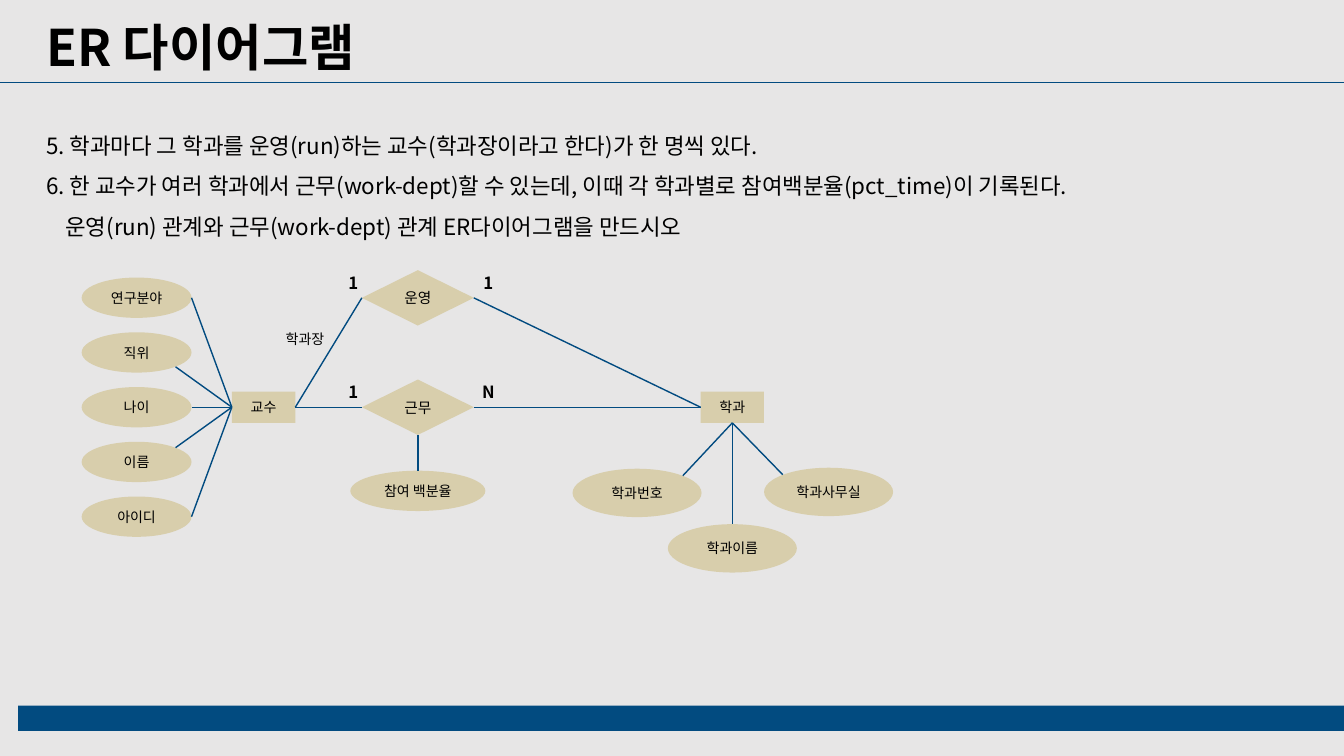
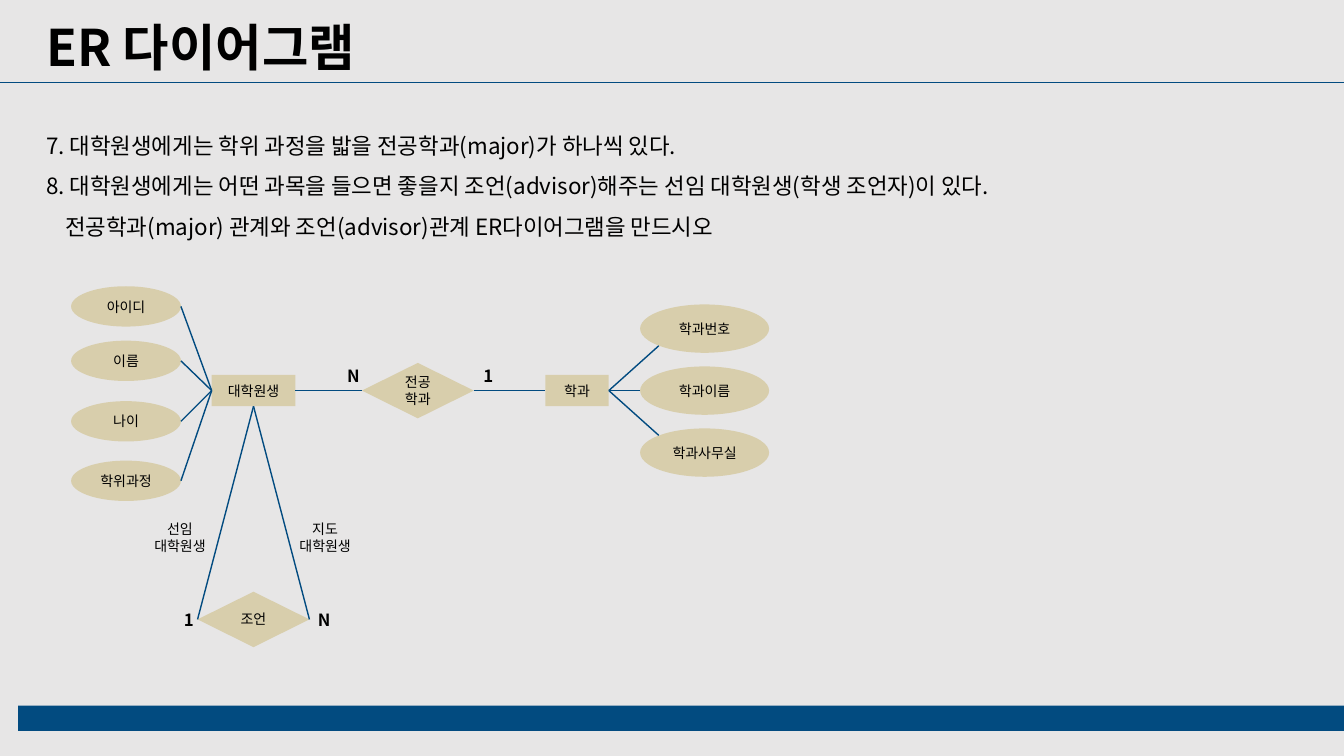
from dataclasses import dataclass

from lxml.etree import SubElement
from pptx import Presentation
from pptx.dml.color import RGBColor
from pptx.enum.shapes import MSO_CONNECTOR, MSO_SHAPE as Preset
from pptx.enum.text import MSO_ANCHOR as Anchor, PP_ALIGN as Align
from pptx.oxml.ns import qn
from pptx.util import Inches, Pt

# Grid: one cell is a tenth of an inch
COLUMNS, ROWS = 133.33, 75
FONT = "Noto Sans CJK KR"
GREY, NAVY, SAND, BLACK = "E7E6E6", "024B80", "D8CEAC", "000000"

# Connection sites, as shares of the half width and half height
SITES = {
    "top": (0, -1), "bottom": (0, 1), "left": (-1, 0), "right": (1, 0),
    "top left": (-0.71, -0.71), "top right": (0.71, -0.71),
    "bottom left": (-0.71, 0.71), "bottom right": (0.71, 0.71),
}


@dataclass
class Box:
    left: float
    top: float
    width: float
    height: float

    def around(self, x, y, width, height):
        """Box centred on a point given relative to this box."""
        return Box(self.left + x - width / 2, self.top + y - height / 2, width, height)

    def site(self, name):
        across, down = SITES[name]
        return (self.left + self.width * (1 + across) / 2,
                self.top + self.height * (1 + down) / 2)

    def lengths(self):
        return [cells(v) for v in (self.left, self.top, self.width, self.height)]


TITLE = Box(3.6, 1.1, 87.1, 7.1)
BODY = Box(3.6, 11.3, 111.5, 13.1)
DIAGRAM = Box(7, 26, 82, 39)
FOOTER = Box(1.8, 70, 131.53, 2.5)
RULE_ROW = 8.2


def cells(count):
    return Inches(count / 10)


def color(value):
    return RGBColor.from_string(value)


# Basic parts
def write(shape, lines, size, bold=False, align=Align.CENTER, anchor=Anchor.MIDDLE):
    frame = shape.text_frame
    frame.text = lines
    frame.word_wrap = True
    frame.vertical_anchor = anchor
    for para in frame.paragraphs:
        para.alignment = align
        for span in para.runs:
            font = span.font
            font.name, font.size, font.bold = FONT, Pt(size), bold
            font.color.rgb = color(BLACK)
            SubElement(font._element, qn("a:ea")).set("typeface", FONT)
    return frame


def solid(page, preset, box, fill):
    shape = page.shapes.add_shape(preset, *box.lengths())
    shape.shadow.inherit = False
    shape.fill.solid()
    shape.fill.fore_color.rgb = color(fill)
    shape.line.fill.background()
    return shape


def link(page, start, end, width=1):
    line = page.shapes.add_connector(
        MSO_CONNECTOR.STRAIGHT, *[cells(v) for v in (*start, *end)])
    line.line.color.rgb = color(NAVY)
    line.line.width = Pt(width)
    SubElement(line._element.spPr, qn("a:effectLst"))


def label(page, box, text, size=10, bold=False):
    frame = write(page.shapes.add_textbox(*box.lengths()), text, size, bold)
    frame.margin_left = frame.margin_right = 0
    frame.margin_top = frame.margin_bottom = 0


# Diagram nodes, centred on a point of the diagram area
def node(page, preset, box, text, size=10):
    write(solid(page, preset, box, SAND), text, size)
    return box


def entity(page, area, x, y, text, width=6.3):
    return node(page, Preset.RECTANGLE, area.around(x, y, width, 3.1), text)


def attribute(page, area, x, y, text, width=10.9, height=4):
    return node(page, Preset.OVAL, area.around(x, y, width, height), text)


def relation(page, area, x, y, text, counts=None, size=10, rise=1.5):
    box = node(page, Preset.DIAMOND, area.around(x, y, 11.1, 5.5), text, size)
    for count, offset in zip(counts or "", (-6.4, 7)):
        label(page, area.around(x + offset, y - rise, 2.3, 2.6), count, 12, True)
    return box


def attribute_fan(page, area, owner, side, items, width=10.9, height=4):
    """Attributes as (text, x, y, site), each joined to one side of the owner."""
    for text, x, y, site in items:
        oval = attribute(page, area, x, y, text, width, height)
        link(page, owner.site(side), oval.site(site))


# What the slides share
def exercise_page(deck, lines):
    page = deck.slides.add_slide(deck.slide_layouts[6])
    solid(page, Preset.RECTANGLE, FOOTER, NAVY)
    write(page.shapes.add_textbox(*TITLE.lengths()), "ER 다이어그램", 36, True,
          Align.LEFT, Anchor.TOP)
    link(page, (0, RULE_ROW), (COLUMNS, RULE_ROW), 0.5)
    body = write(page.shapes.add_textbox(*BODY.lengths()), "\n".join(lines), 16,
                 align=Align.LEFT, anchor=Anchor.TOP)
    for para in body.paragraphs:
        para.line_spacing = 1.5
    # The task line is indented below the numbered ones
    body.paragraphs[-1]._p.get_or_add_pPr().set("marL", str(cells(1.9)))
    return page


def professor_diagram(page, area):
    row = 14.4
    professor = entity(page, area, 19.15, row, "교수")
    department = entity(page, area, 65.65, row, "학과")

    # Attributes
    names = ("연구분야", "직위", "나이", "이름", "아이디")
    sites = ("right", "bottom right", "right", "top right", "right")
    attribute_fan(page, area, professor, "left", [
        (name, 6.55, row + 5.43 * (place - 2), site)
        for place, (name, site) in enumerate(zip(names, sites))])
    attribute_fan(page, area, department, "bottom", [
        ("학과번호", 56.2, 22.9, "top right"),
        ("학과이름", 65.65, 28.4, "top"),
        ("학과사무실", 75.2, 22.8, "top left")], 12.8, 4.8)

    # Relations
    run = relation(page, area, 34.45, 3.55, "운영", "11", 10.5)
    work = relation(page, area, 34.45, row, "근무", "1N", 10.5)
    for diamond in (run, work):
        link(page, professor.site("right"), diamond.site("left"))
        link(page, diamond.site("right"), department.site("left"))
    attribute_fan(page, area, work, "bottom",
                  [("참여 백분율", 34.45, 22.7, "top")], 13.4)
    label(page, area.around(23.25, 7.6, 10.9, 4), "학과장")


def graduate_diagram(page, area):
    row = 12.75
    graduate = entity(page, area, 18.15, row, "대학원생", 8.3)
    department = entity(page, area, 50.25, row, "학과")

    # Attributes
    attribute_fan(page, area, graduate, "left", [
        (name, 5.5, y, "right") for name, y in
        (("아이디", 4.4), ("이름", 9.8), ("나이", 15.8), ("학위과정", 21.7))])
    attribute_fan(page, area, department, "right", [
        ("학과번호", 62.9, row - 6.15, "bottom left"),
        ("학과이름", 62.9, row, "left"),
        ("학과사무실", 62.9, row + 6.15, "top left")], 12.8, 4.8)

    # Relations
    major = relation(page, area, 34.45, row, "전공학과", "N1")
    link(page, graduate.site("right"), major.site("left"))
    link(page, major.site("right"), department.site("left"))
    advisor = relation(page, area, 18.15, 35.45, "조언", "1N", rise=0)
    for side, x, role in (("left", 10.85, "선임"), ("right", 25.25, "지도")):
        link(page, graduate.site("bottom"), advisor.site(side))
        label(page, area.around(x, 27.3, 10.9, 4), f"{role}\n대학원생")


def main():
    deck = Presentation()
    deck.slide_width, deck.slide_height = cells(COLUMNS), cells(ROWS)
    background = deck.slide_master.background.fill
    background.solid()
    background.fore_color.rgb = color(GREY)

    professor_diagram(exercise_page(deck, (
        "5. 학과마다 그 학과를 운영(run)하는 교수(학과장이라고 한다)가 한 명씩 있다.",
        "6. 한 교수가 여러 학과에서 근무(work-dept)할 수 있는데, "
        "이때 각 학과별로 참여백분율(pct_time)이 기록된다.",
        "운영(run) 관계와 근무(work-dept) 관계 ER다이어그램을 만드시오")), DIAGRAM)
    graduate_diagram(exercise_page(deck, (
        "7. 대학원생에게는 학위 과정을 밟을 전공학과(major)가 하나씩 있다.",
        "8. 대학원생에게는 어떤 과목을 들으면 좋을지 조언(advisor)해주는 "
        "선임 대학원생(학생 조언자)이 있다.",
        "전공학과(major) 관계와 조언(advisor)관계 ER다이어그램을 만드시오")), DIAGRAM)
    deck.save("out.pptx")


if __name__ == "__main__":
    main()
